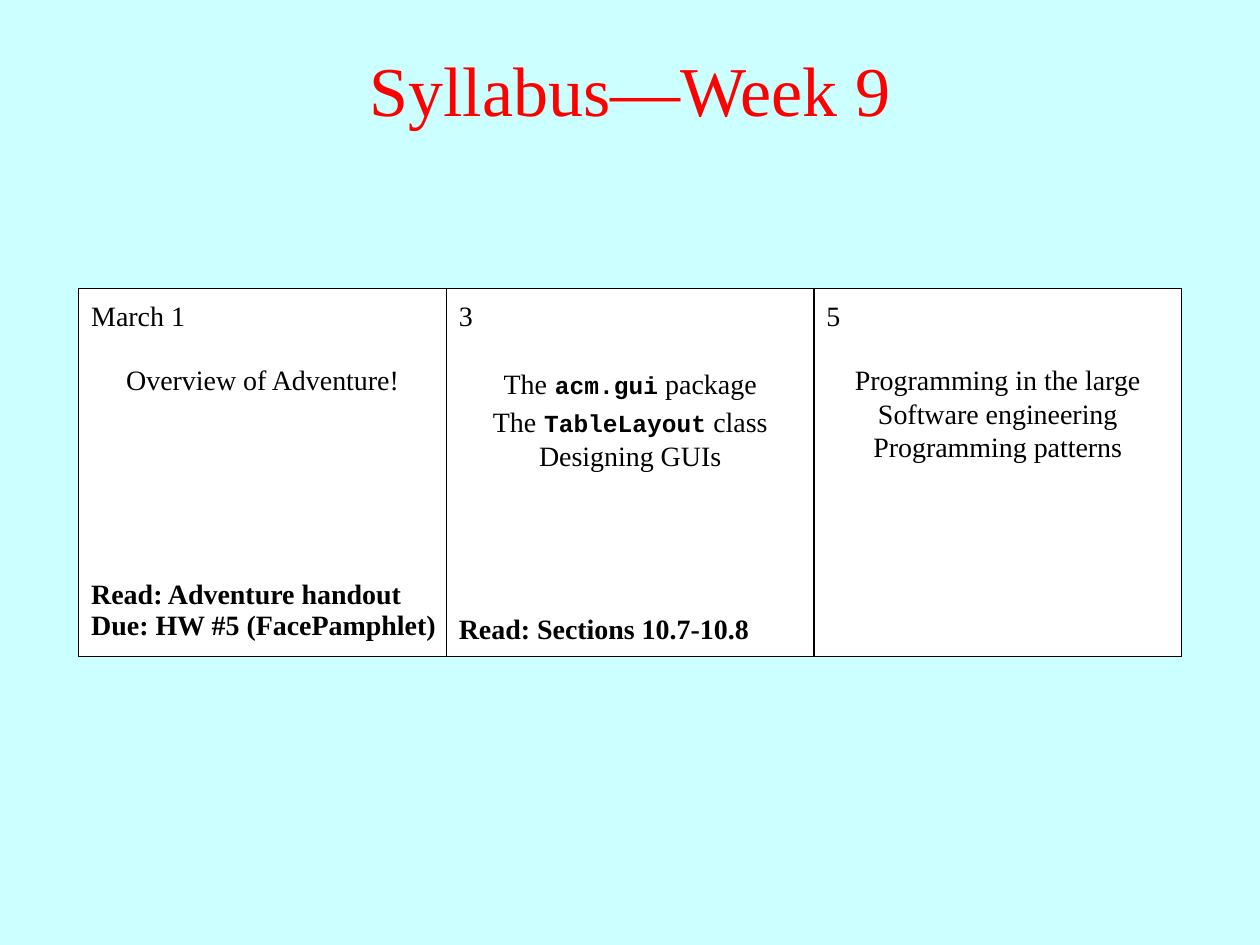
import pptx
import pptx.dml.color
import pptx.enum.shapes
import pptx.enum.text
import pptx.util

Cm, Pt = pptx.util.Cm, pptx.util.Pt
ALIGN = pptx.enum.text.PP_ALIGN
ANCHOR = pptx.enum.text.MSO_ANCHOR

COLORS = {"background": "CCFFFF", "title": "FF0000", "text": "000000",
          "card": "FFFFFF", "line": "000000"}
FORMATS = {
    "title": {"name": "Times New Roman", "size": Pt(40), "bold": False},
    "body": {"name": "Times New Roman", "size": Pt(16), "bold": False},
    "gap": {"name": "Times New Roman", "size": Pt(18), "bold": False},
    "code": {"name": "Courier New", "size": Pt(14), "bold": True},
    "reading": {"name": "Times New Roman", "size": Pt(16), "bold": True},
}

LEFT, TOP, SIDE = 1.59, 5.82, 7.41
DATE_TOP, TOPICS_TOP, READING_TOP = 5.89, 7.19, 11.58
LINE_HEIGHT = 0.94


def with_code(code, noun):
    return [("The", "body"), (" ", "gap"), (code, "code"), (f" {noun}", "body")]


DAYS = [
    {"date": "March 1",
     "topics": ["Overview of Adventure!"], "topics_height": 0.94,
     "reading": ["Read: Adventure handout", "Due: HW #5 (FacePamphlet)"],
     "reading_size": (7.72, 1.47)},
    {"date": "3",
     "topics": [with_code("acm.gui", "package"),
                with_code("TableLayout", "class"),
                "Designing GUIs"], "topics_height": 2.46,
     "reading": ["Read: Sections 10.7-10.8"],
     "reading_size": (SIDE, 1.55)},
    {"date": "5",
     "topics": ["Programming in the large", "Software engineering",
                "Programming patterns"], "topics_height": 2.29},
]


def rgb(name):
    return pptx.dml.color.RGBColor.from_string(COLORS[name])


class SlideBuilder:
    def __init__(self, prs):
        self.s = prs.slides.add_slide(prs.slide_layouts[6])
        fill = self.s.background.fill
        fill.solid()
        fill.fore_color.rgb = rgb("background")

    def text(self, shapes, box, lines, style="body", color="text",
             anchor=ANCHOR.TOP, **paragraph_format):
        """Add a text box; a line is a string or a list of (text, style) runs."""
        sp = shapes.add_textbox(*map(Cm, box))
        tf = sp.text_frame
        tf.word_wrap = True
        tf.vertical_anchor = anchor
        for i, line in enumerate(lines):
            p = tf.paragraphs[0] if i == 0 else tf.add_paragraph()
            for key, value in paragraph_format.items():
                setattr(p, key, value)
            runs = [(line, style)] if isinstance(line, str) else line
            for content, run_style in runs:
                r = p.add_run()
                r.text = content
                for key, value in FORMATS[run_style].items():
                    setattr(r.font, key, value)
                r.font.color.rgb = rgb(color)

    def card(self, shapes, box):
        sp = shapes.add_shape(pptx.enum.shapes.MSO_SHAPE.RECTANGLE, *map(Cm, box))
        sp.shadow.inherit = False
        sp.fill.solid()
        sp.fill.fore_color.rgb = rgb("card")
        sp.line.color.rgb = rgb("line")
        sp.line.width = Pt(0.75)

    def day(self, left, day):
        shapes = self.s.shapes.add_group_shape().shapes
        self.card(shapes, (left, TOP, SIDE, SIDE))
        self.text(shapes, (left, DATE_TOP, SIDE, LINE_HEIGHT), [day["date"]])
        self.text(shapes, (left, TOPICS_TOP, SIDE, day["topics_height"]),
                  day["topics"], alignment=ALIGN.CENTER)
        if "reading" in day:
            self.text(shapes, (left, READING_TOP, *day["reading_size"]),
                      day["reading"], "reading", anchor=ANCHOR.BOTTOM,
                      line_spacing=0.9)


def main():
    prs = pptx.Presentation()
    prs.slide_width, prs.slide_height = Cm(25.4), Cm(19.05)
    slide = SlideBuilder(prs)
    slide.text(slide.s.shapes, (0, 0.2, 25.4, 3.18), ["Syllabus—Week 9"],
               "title", "title", ANCHOR.MIDDLE, alignment=ALIGN.CENTER)
    for i, day in enumerate(DAYS):
        slide.day(LEFT + i * SIDE, day)
    prs.save("out.pptx")


if __name__ == "__main__":
    main()
